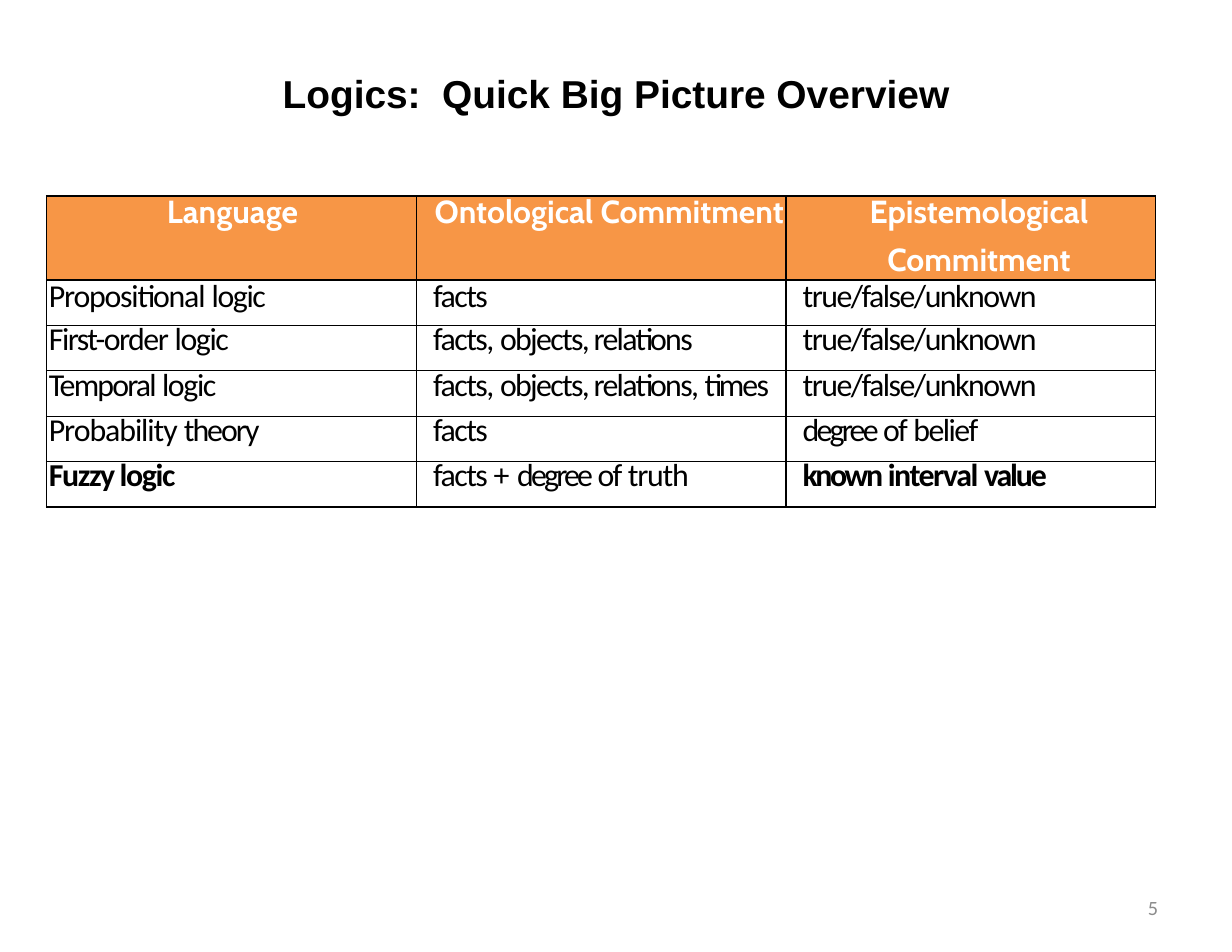
from dataclasses import dataclass
from typing import Any

import pptx
import pptx.dml.color
import pptx.enum.text
import pptx.oxml
import pptx.oxml.ns
import pptx.util

Pt = pptx.util.Pt
Align = pptx.enum.text.PP_ALIGN
Anchor = pptx.enum.text.MSO_ANCHOR


@dataclass(frozen=True)
class Theme:
    black: str = "000000"
    white: str = "FFFFFF"
    orange: str = "F79646"
    gray: str = "8C8C8C"
    title_font: str = "Arial"
    header_font: str = "Cabin"
    body_font: str = "Calibri"
    title_size: float = 25
    table_size: float = 20.5
    number_size: float = 13


@dataclass(frozen=True)
class Run:
    text: str
    spacing: float = 0


@dataclass(frozen=True)
class Cell:
    runs: tuple[Run, ...]
    bold: bool = False


THEME = Theme()
LOGIC = Run("logic", -0.9)
FACTS = Cell((Run("facts", -1),))
TRUTH_VALUES = Cell((Run("true/false/unknown", -1),))
HEADERS = (("Language",), ("Ontological Commitment",), ("Epistemological", "Commitment"))
ROWS = (
    (Cell((Run("Propositional ", -0.8), LOGIC)), FACTS, TRUTH_VALUES),
    (Cell((Run("First-order ", -1), LOGIC)),
     Cell((Run("facts, ", -1), Run("objects, relations", -1.1))), TRUTH_VALUES),
    (Cell((Run("Temporal ", -1.2), LOGIC)),
     Cell((Run("facts, ", -1), Run("objects, relations, ", -1.1), Run("times", -1.2))),
     TRUTH_VALUES),
    (Cell((Run("Probability ", -0.7), Run("theory", -1.3))), FACTS,
     Cell((Run("degree ", -1.8), Run("of ", -1.1), Run("belief", -1)))),
    (Cell((Run("Fuzzy logic", -0.9),), bold=True),
     Cell((Run("facts ", -1), Run("+ ", 0.1), Run("degree ", -1.8), Run("of ", -1.1),
           Run("truth", -0.8))),
     Cell((Run("known ", -1.6), Run("interval ", -1), Run("value", -1.4)), bold=True)),
)
COLUMN_WIDTH, HEADER_HEIGHT, ROW_HEIGHT = 237.6, 54, 29.2
INDENTS = (1.44, 10.8, 10.8)


def rgb(color: str) -> pptx.dml.color.RGBColor:
    return pptx.dml.color.RGBColor.from_string(color)


def add_text(paragraph: Any, text: str, *, font: str, size: float, color: str,
             bold: bool = False, align: Any = Align.LEFT, spacing: float = 0) -> None:
    paragraph.alignment = align
    run = paragraph.add_run()
    run.text = text
    run.font.name, run.font.size, run.font.bold = font, Pt(size), bold
    run.font.color.rgb = rgb(color)
    if spacing:
        run.font._element.set("spc", str(round(spacing * 100)))


def format_frame(frame: Any) -> None:
    frame.word_wrap = True
    frame.auto_size = pptx.enum.text.MSO_AUTO_SIZE.NONE
    frame.vertical_anchor = Anchor.MIDDLE
    frame.margin_left = frame.margin_right = Pt(7.92)
    frame.margin_top = frame.margin_bottom = Pt(4.32)


def format_cell(cell: Any, fill: str) -> None:
    cell.margin_left = cell.margin_right = cell.margin_top = cell.margin_bottom = 0
    cell.vertical_anchor = Anchor.TOP
    properties = cell._tc.get_or_add_tcPr()
    for side in ("lnL", "lnR", "lnT", "lnB"):
        properties.append(pptx.oxml.parse_xml(
            f'<a:{side} {pptx.oxml.ns.nsdecls("a")} w="{Pt(1)}"><a:solidFill>'
            f'<a:srgbClr val="{THEME.black}"/></a:solidFill></a:{side}>'))
    cell.fill.solid()
    cell.fill.fore_color.rgb = rgb(fill)


def format_paragraph(paragraph: Any, indent: float, line_spacing: float) -> None:
    paragraph.line_spacing = Pt(line_spacing)
    paragraph.space_before = paragraph.space_after = Pt(4)
    properties = paragraph._p.get_or_add_pPr()
    properties.set("marL", str(Pt(indent)))
    properties.set("indent", "0")


def add_logic_table(slide: Any) -> None:
    table = slide.shapes.add_table(
        len(ROWS) + 1, len(HEADERS), Pt(30), Pt(126), Pt(COLUMN_WIDTH * len(HEADERS)),
        Pt(HEADER_HEIGHT + ROW_HEIGHT * len(ROWS))).table
    table.first_row = table.horz_banding = False
    for index, row in enumerate(table.rows):
        row.height = Pt(ROW_HEIGHT if index else HEADER_HEIGHT)

    # Header row
    for column, lines in enumerate(HEADERS):
        cell = table.cell(0, column)
        format_cell(cell, THEME.orange)
        for number, line in enumerate(lines):
            frame = cell.text_frame
            paragraph = frame.add_paragraph() if number else frame.paragraphs[0]
            format_paragraph(paragraph, INDENTS[column], 22.9)
            add_text(paragraph, line, font=THEME.header_font, size=THEME.table_size,
                     color=THEME.white, bold=True, align=Align.CENTER)

    # Body rows
    for row_number, contents in enumerate(ROWS, start=1):
        for column, content in enumerate(contents):
            cell = table.cell(row_number, column)
            format_cell(cell, THEME.white)
            paragraph = cell.text_frame.paragraphs[0]
            format_paragraph(paragraph, INDENTS[column], 22.9 if row_number == 1 else 21.8)
            for run in content.runs:
                add_text(paragraph, run.text, font=THEME.body_font, size=THEME.table_size,
                         color=THEME.black, bold=content.bold, spacing=run.spacing)


presentation = pptx.Presentation()
presentation.slide_width, presentation.slide_height = Pt(792), Pt(612)
slide = presentation.slides.add_slide(presentation.slide_layouts[5])

# Title
title = slide.shapes.title
title.left, title.top, title.width, title.height = Pt(39.6), Pt(24.5), Pt(712.8), Pt(70.5)
format_frame(title.text_frame)
add_text(title.text_frame.paragraphs[0], "Logics:  Quick Big Picture Overview",
         font=THEME.title_font, size=THEME.title_size, color=THEME.black, bold=True,
         align=Align.CENTER)

# Table
add_logic_table(slide)

# Slide number
number_box = slide.shapes.add_textbox(Pt(567.6), Pt(567.2), Pt(184.8), Pt(32.5))
format_frame(number_box.text_frame)
add_text(number_box.text_frame.paragraphs[0], "5", font=THEME.body_font,
         size=THEME.number_size, color=THEME.gray, align=Align.RIGHT)

presentation.save("out.pptx")
